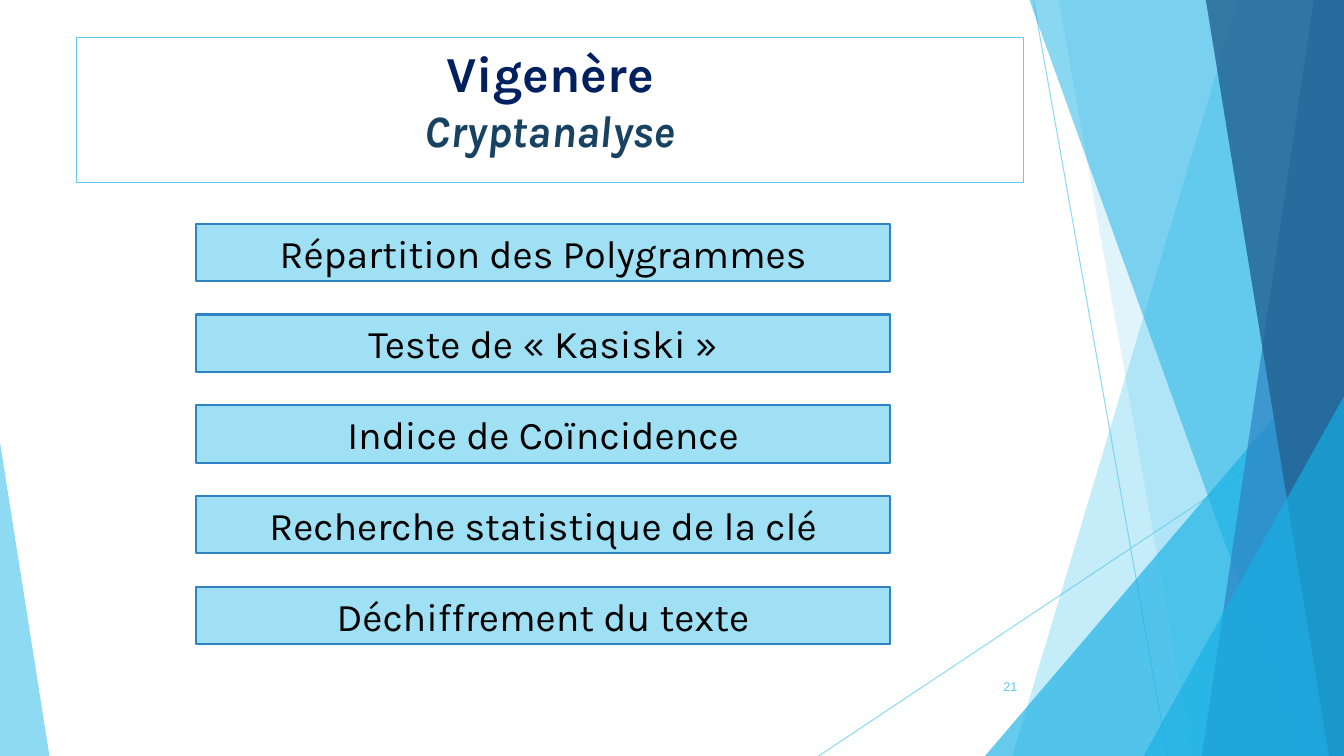
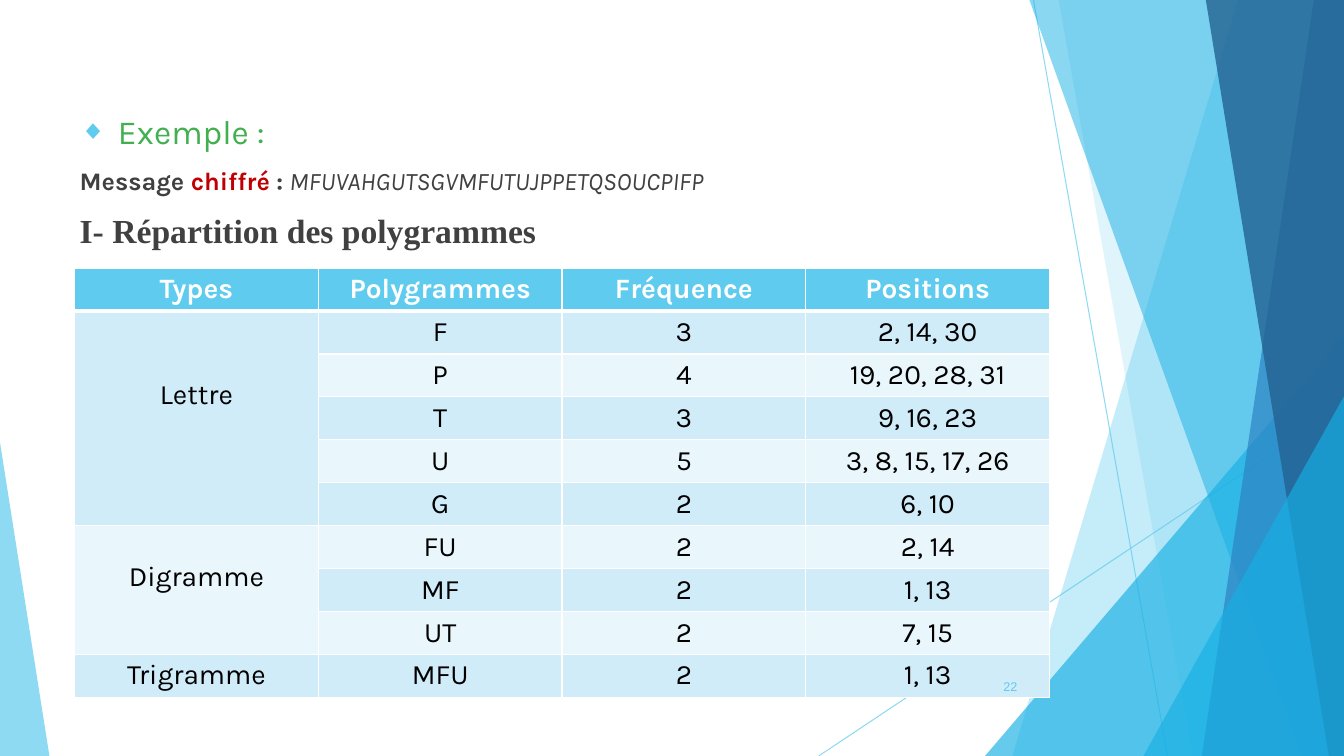
import lxml.etree
import pptx
import pptx.dml.color
import pptx.enum.shapes
import pptx.enum.text
import pptx.oxml.ns
import pptx.util

Inches, Pt = pptx.util.Inches, pptx.util.Pt
qn = pptx.oxml.ns.qn
RGB = pptx.dml.color.RGBColor.from_string
ALIGN, ANCHOR = pptx.enum.text.PP_ALIGN, pptx.enum.text.MSO_ANCHOR


class Theme:
    font, serif, number_font = "Karla", "Times New Roman", "Arial"
    sky, cyan, blue, deep = "5FCBEF", "17B0E4", "2E83C3", "236292"
    step_fill, band_dark, band_light = "9FE0F5", "D1ECF9", "E9F6FC"
    navy, petrol, green, red = "002060", "174262", "42B051", "C00000"
    black, grey, white = "000000", "404040", "FFFFFF"
    title, subtitle, step, heading, cell, body, number = 36, 32, 28, 24, 20, 18, 9
    inset = Inches(0.05)


WIDTH, HEIGHT = 13.33, 7.5
FIRST_PAGE = 21


def style(run, size, color, font=Theme.font, bold=False, italic=False):
    run.font.size, run.font.name = Pt(size), font
    run.font.bold, run.font.italic = bold, italic
    run.font.color.rgb = RGB(color)


def set_opacity(shape, percent):
    """Apply one opacity to every solid colour of the shape's fill and line."""
    for color in shape.element.spPr.iter(qn("a:srgbClr")):
        lxml.etree.SubElement(color, qn("a:alpha"), val=str(percent * 1000))


deck = pptx.Presentation()
deck.slide_width, deck.slide_height = Inches(WIDTH), Inches(HEIGHT)
outline = deck.slides.add_slide(deck.slide_layouts.get_by_name("Title Only"))
example = deck.slides.add_slide(deck.slide_layouts.get_by_name("Title and Content"))

# Background facets, drawn on a slide and then moved to the master
facets = []
for start, end in [((10.25, 0), (11.58, HEIGHT)), ((WIDTH, 4.03), (8.12, HEIGHT))]:
    ray = outline.shapes.add_connector(
        pptx.enum.shapes.MSO_CONNECTOR.STRAIGHT, *map(Inches, start + end))
    ray.line.color.rgb, ray.line.width = RGB(Theme.sky), Pt(0.75)
    lxml.etree.SubElement(ray.element.spPr, qn("a:effectLst"))
    set_opacity(ray, 70)
    facets.append(ray)

right_top, right_bottom = (WIDTH, 0), (WIDTH, HEIGHT)
for corners, color, opacity in [
    ([(12.28, 0), right_top, right_bottom, (10.04, HEIGHT)], Theme.sky, 36),
    ([(10.5, 0), right_top, right_bottom, (11.83, HEIGHT)], Theme.sky, 20),
    ([(9.77, HEIGHT), (WIDTH, 3.33), right_bottom], Theme.cyan, 66),
    ([(10.21, 0), right_top, right_bottom, (12.91, HEIGHT)], Theme.cyan, 50),
    ([(13.03, 0), right_top, right_bottom, (11.92, HEIGHT)], Theme.blue, 70),
    ([(11.96, 0), right_top, right_bottom, (13.18, HEIGHT)], Theme.deep, 80),
    ([(11.34, HEIGHT), (WIDTH, 3.93), right_bottom], Theme.cyan, 66),
    ([(0, HEIGHT), (0, 4.39), (0.49, HEIGHT)], Theme.sky, 70),
]:
    points = [(Inches(x), Inches(y)) for x, y in corners]
    builder = outline.shapes.build_freeform(*points[0])
    builder.add_line_segments(points[1:], close=True)
    facet = builder.convert_to_shape()
    facet.shadow.inherit = False
    facet.fill.solid()
    facet.fill.fore_color.rgb = RGB(color)
    facet.line.fill.background()
    set_opacity(facet, opacity)
    facets.append(facet)

for depth, facet in enumerate(facets, start=2):
    deck.slide_master.shapes.element.insert(depth, facet.element)

# Outline slide: framed title and the five steps
title = outline.shapes.title
title.left, title.top, title.width, title.height = map(Inches, (0.76, 0.37, 9.39, 1.44))
title.line.color.rgb, title.line.width = RGB(Theme.sky), Pt(0.75)
heading = title.text_frame
heading.text = "Vigenère\nCryptanalyse"
heading.auto_size = pptx.enum.text.MSO_AUTO_SIZE.NONE
heading.vertical_anchor = ANCHOR.TOP
heading.margin_top = heading.margin_bottom = Theme.inset
for paragraph in heading.paragraphs:
    paragraph.alignment = ALIGN.CENTER
style(heading.paragraphs[0].runs[0], Theme.title, Theme.navy, bold=True)
style(heading.paragraphs[1].runs[0], Theme.subtitle, Theme.petrol, bold=True, italic=True)

STEP_TOP, STEP_PITCH = 2.22, 0.9
for row, label in enumerate([
    "Répartition des Polygrammes",
    "Teste de « Kasiski »",
    "Indice de Coïncidence",
    "Recherche statistique de la clé",
    "Déchiffrement du texte",
]):
    step = outline.shapes.add_shape(
        pptx.enum.shapes.MSO_SHAPE.RECTANGLE,
        *map(Inches, (1.94, STEP_TOP + row * STEP_PITCH, 6.89, 0.57)))
    step.shadow.inherit = False
    step.fill.solid()
    step.fill.fore_color.rgb = RGB(Theme.step_fill)
    step.line.color.rgb, step.line.width = RGB(Theme.blue), Pt(1.5)
    step.text_frame.text = label
    step.text_frame.margin_top = step.text_frame.margin_bottom = Theme.inset
    step.text_frame.vertical_anchor = ANCHOR.MIDDLE
    step.text_frame.paragraphs[0].alignment = ALIGN.CENTER
    style(step.text_frame.paragraphs[0].runs[0], Theme.step, Theme.black)

# Example slide: message and polygram table
example.shapes.element.remove(example.shapes.title.element)
message = example.placeholders[1]
message.left, message.top, message.width, message.height = map(Inches, (0.74, 1.05, 9.4, 1.55))
message_text = message.text_frame
message_text.auto_size = pptx.enum.text.MSO_AUTO_SIZE.NONE
message_text.margin_left = message_text.margin_right = Theme.inset
message_text.margin_top = message_text.margin_bottom = Theme.inset
for row, pieces in enumerate([
    [("Exemple :", dict(size=Theme.heading, color=Theme.green))],
    [("Message ", dict(size=Theme.body, color=Theme.grey, bold=True)),
     ("chiffré", dict(size=Theme.body, color=Theme.red, bold=True)),
     (" : ", dict(size=Theme.body, color=Theme.grey, bold=True)),
     ("MFUVAHGUTSGVMFUTUJPPETQSOUCPIFP",
      dict(size=Theme.body, color=Theme.grey, italic=True))],
    [("I- Répartition des polygrammes",
      dict(size=Theme.heading, color=Theme.grey, font=Theme.serif, bold=True))],
]):
    paragraph = message_text.add_paragraph() if row else message_text.paragraphs[0]
    paragraph.space_before = Pt(10 if row else 0)
    for words, look in pieces:
        run = paragraph.add_run()
        run.text = words
        style(run, **look)
    properties = paragraph.element.get_or_add_pPr() if hasattr(paragraph, "element") \
        else paragraph._p.get_or_add_pPr()
    indent = 0 if row else Inches(0.38)
    properties.set("marL", str(indent))
    properties.set("indent", str(-indent))
    if row:
        lxml.etree.SubElement(properties, qn("a:buNone"))
    else:
        bullet_color = lxml.etree.SubElement(properties, qn("a:buClr"))
        lxml.etree.SubElement(bullet_color, qn("a:srgbClr"), val=Theme.sky)
        lxml.etree.SubElement(properties, qn("a:buSzPct"), val="80000")
        lxml.etree.SubElement(properties, qn("a:buChar"), char="◆")

HEADERS = ["Types", "Polygrammes", "Fréquence", "Positions"]
GROUPS = {
    "Lettre": [("F", "3", "2, 14, 30"), ("P", "4", "19, 20, 28, 31"), ("T", "3", "9, 16, 23"),
               ("U", "5", "3, 8, 15, 17, 26"), ("G", "2", "6, 10")],
    "Digramme": [("FU", "2", "2, 14"), ("MF", "2", "1, 13"), ("UT", "2", "7, 15")],
    "Trigramme": [("MFU", "2", "1, 13")],
}
rows = [HEADERS]
for kind, polygrams in GROUPS.items():
    rows += [("" if place else kind, *polygram) for place, polygram in enumerate(polygrams)]

polygram_table = example.shapes.add_table(
    len(rows), len(HEADERS), *map(Inches, (0.74, 2.66, 9.67, 0.31 * len(rows)))).table
for r, values in enumerate(rows):
    for c, value in enumerate(values):
        cell = polygram_table.cell(r, c)
        cell.text = value
        cell.margin_left = cell.margin_right = Theme.inset
        cell.margin_top = cell.margin_bottom = Theme.inset
        cell.fill.solid()
        cell.fill.fore_color.rgb = RGB(
            Theme.sky if r == 0 else Theme.band_dark if r % 2 else Theme.band_light)
        paragraph = cell.text_frame.paragraphs[0]
        paragraph.alignment = ALIGN.CENTER
        for run in paragraph.runs:
            style(run, Theme.cell, Theme.black if r else Theme.white, bold=r == 0)
        cell_properties = cell._tc.get_or_add_tcPr()
        for position, side in enumerate(["lnL", "lnR", "lnT", "lnB"]):
            thick = (r, side) in [(0, "lnB"), (1, "lnT")]
            border = lxml.etree.Element(qn("a:" + side), w=str(Pt(3 if thick else 1)))
            border_fill = lxml.etree.SubElement(border, qn("a:solidFill"))
            lxml.etree.SubElement(border_fill, qn("a:srgbClr"), val=Theme.white)
            cell_properties.insert(position, border)

first = 1
for polygrams in GROUPS.values():
    last = first + len(polygrams) - 1
    if last > first:
        kind_cell = polygram_table.cell(first, 0)
        kind_cell.merge(polygram_table.cell(last, 0))
        kind_cell.vertical_anchor = ANCHOR.MIDDLE
        kind_cell.margin_bottom = Inches(0.1 * len(polygrams))
    first = last + 1

# Page numbers
for page, slide in enumerate(deck.slides, start=FIRST_PAGE):
    number = slide.shapes.add_textbox(*map(Inches, (9.9, 6.69, 0.24, 0.24))).text_frame
    number.text = str(page)
    number.word_wrap = False
    number.vertical_anchor = ANCHOR.MIDDLE
    number.margin_left = number.margin_right = Theme.inset
    number.margin_top = number.margin_bottom = Theme.inset
    number.paragraphs[0].alignment = ALIGN.RIGHT
    style(number.paragraphs[0].runs[0], Theme.number, Theme.sky, font=Theme.number_font)

deck.save("out.pptx")
